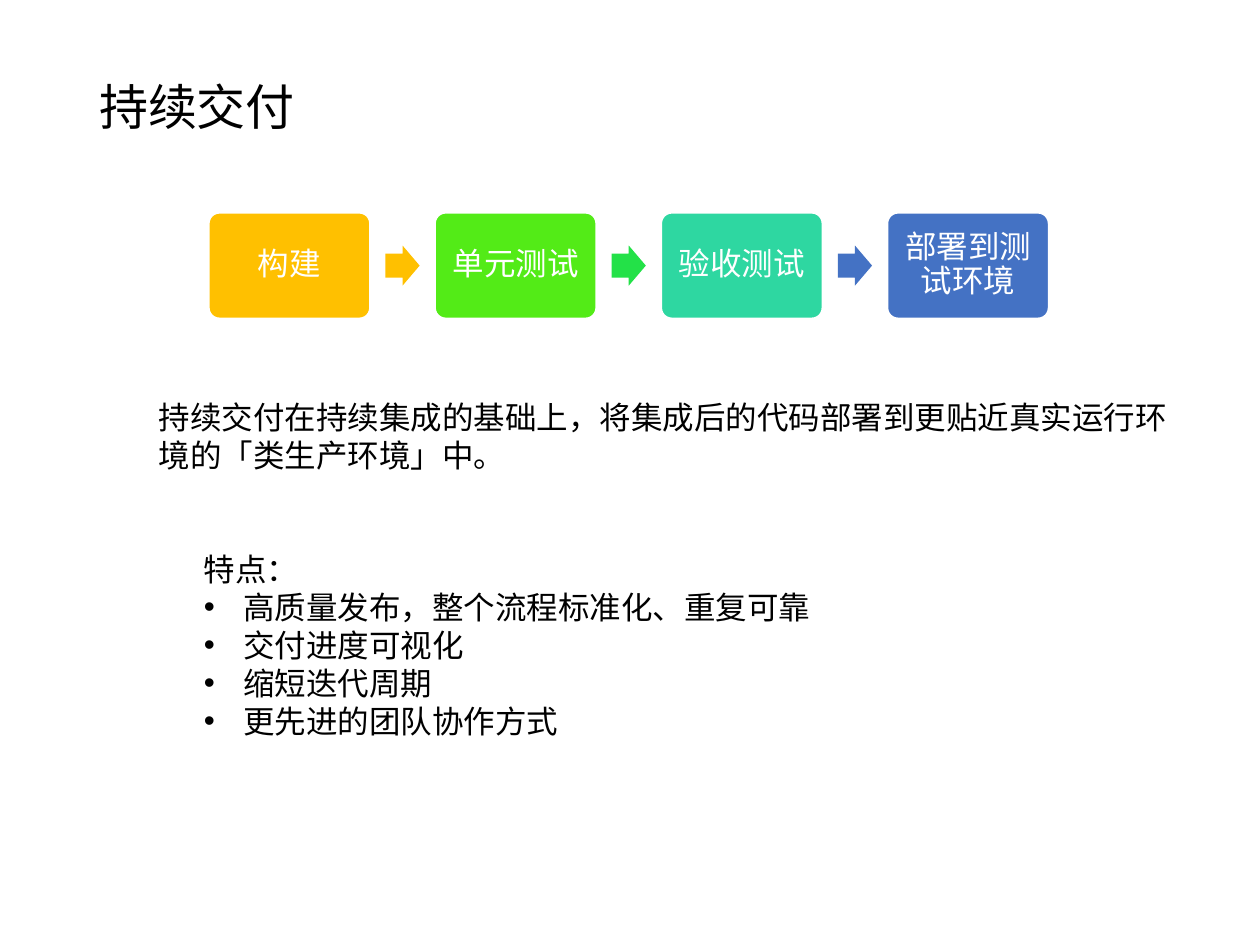
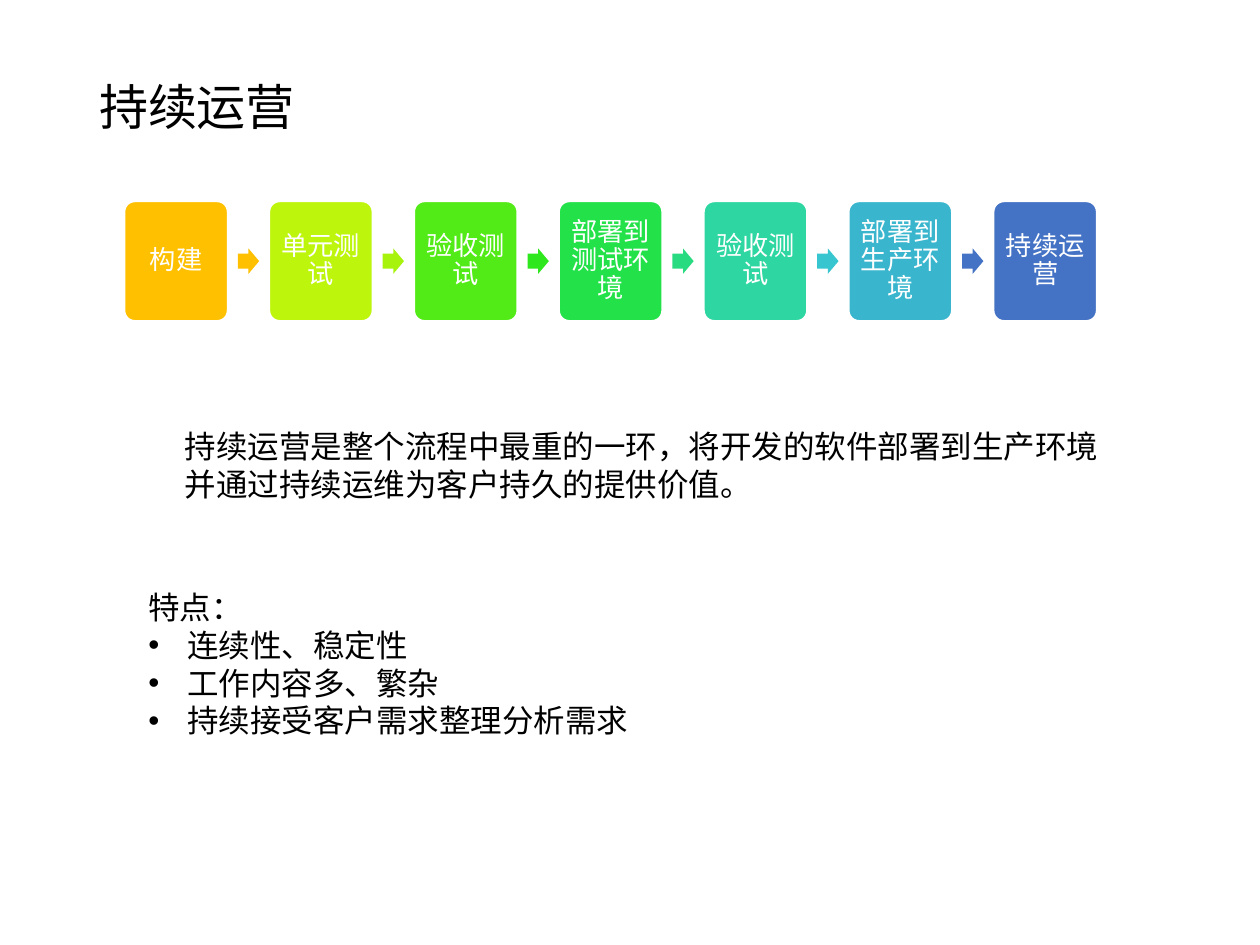
from lxml import etree
from pptx import Presentation
from pptx.dml.color import RGBColor
from pptx.enum.shapes import MSO_SHAPE as SHAPE
from pptx.enum.text import MSO_ANCHOR as ANCHOR, PP_ALIGN as ALIGN
from pptx.oxml.ns import qn
from pptx.util import Cm, Pt

BLACK = RGBColor(0x00, 0x00, 0x00)
WHITE = RGBColor(0xFF, 0xFF, 0xFF)
AMBER = RGBColor(0xFF, 0xC0, 0x00)
YELLOW_GREEN = RGBColor(0xBE, 0xF5, 0x0C)
LIME = RGBColor(0xA7, 0xF3, 0x0E)
LEAF = RGBColor(0x53, 0xEB, 0x17)
BRIGHT_GREEN = RGBColor(0x2E, 0xE7, 0x1C)
GREEN = RGBColor(0x23, 0xE1, 0x48)
MINT = RGBColor(0x29, 0xDB, 0x80)
TEAL = RGBColor(0x2E, 0xD7, 0xA1)
CYAN = RGBColor(0x37, 0xC6, 0xCF)
SKY = RGBColor(0x39, 0xB6, 0xCE)
BLUE = RGBColor(0x44, 0x72, 0xC4)

HEADING_FONT = "Noto Sans CJK SC"
BODY_FONT = "Calibri"
INDENT = Cm(0.79)

# Lengths are in centimetres; boxes are left, top, width, height.
SLIDES = [
    {
        "title": "持续交付",
        "steps": [("构建", AMBER), ("单元测试", LEAF), ("验收测试", TEAL),
                  ("部署到测试环境", BLUE)],
        "arrows": [AMBER, GREEN, BLUE],
        "flow": (4.21, 4.29, 3.25, 2.13), "pitch": 4.56,
        "arrow_size": (0.69, 0.81), "inset": 0.18, "step_size": 18,
        "summary": ["持续交付在持续集成的基础上，将集成后的代码部署到更贴近真实运行环境的「类生产环境」中。"],
        "summary_box": (2.95, 7.9, 21.21, 1.8), "summary_font": "Roboto",
        "features": ["高质量发布，整个流程标准化、重复可靠", "交付进度可视化",
                     "缩短迭代周期", "更先进的团队协作方式"],
        "features_box": (3.86, 10.97, 12.85, 5.64),
        "last_font": HEADING_FONT,
    },
    {
        "title": "持续运营",
        "steps": [("构建", AMBER), ("单元测试", YELLOW_GREEN), ("验收测试", LEAF),
                  ("部署到测试环境", GREEN), ("验收测试", TEAL),
                  ("部署到生产环境", SKY), ("持续运营", BLUE)],
        "arrows": [AMBER, LIME, BRIGHT_GREEN, MINT, CYAN, BLUE],
        "flow": (2.51, 4.06, 2.08, 2.41), "pitch": 2.92,
        "arrow_size": (0.43, 0.51), "inset": 0.15, "step_size": 15,
        "summary": ["持续运营是整个流程中最重的一环，将开发的软件部署到生产环境",
                    "并通过持续运维为客户持久的提供价值。"],
        "summary_box": (3.48, 8.48, 19.1, 1.8), "summary_font": BODY_FONT,
        "features": ["连续性、稳定性", "工作内容多、繁杂", "持续接受客户需求整理分析需求"],
        "features_box": (2.74, 11.73, 10.29, 4.88),
        "last_font": BODY_FONT,
    },
]


def add_text(s, box, lines, font, size=18):
    tf = s.shapes.add_textbox(*map(Cm, box)).text_frame
    tf.word_wrap = True
    tf.text = "\n".join(lines)
    for p in tf.paragraphs:
        p.font.name, p.font.size = font, Pt(size)
        p.font.color.rgb = BLACK
    return tf


def add_block(s, shape, box, color, *adjustments):
    """Add a flat filled shape without an outline."""
    sp = s.shapes.add_shape(shape, *map(Cm, box))
    sp.shadow.inherit = False
    sp.fill.solid()
    sp.fill.fore_color.rgb = color
    sp.line.fill.background()
    for i, value in enumerate(adjustments):
        sp.adjustments[i] = value
    return sp


prs = Presentation()
prs.slide_width, prs.slide_height = Cm(25.4), Cm(19.05)

for content in SLIDES:
    s = prs.slides.add_slide(prs.slide_layouts[6])

    tf = add_text(s, (1.75, 1.02, 21.9, 2.39), [content["title"]], HEADING_FONT, 28)
    tf.vertical_anchor = ANCHOR.MIDDLE
    tf.paragraphs[0].line_spacing = 0.9

    left, top, width, height = content["flow"]
    pitch = content["pitch"]
    for i, (label, color) in enumerate(content["steps"]):
        sp = add_block(s, SHAPE.ROUNDED_RECTANGLE,
                       (left + i * pitch, top, width, height), color, 0.1)
        sp.line.color.rgb = WHITE
        sp.line.width = Pt(1)
        tf = sp.text_frame
        tf.word_wrap = True
        tf.vertical_anchor = ANCHOR.MIDDLE
        tf.margin_left = tf.margin_right = Cm(content["inset"])
        tf.margin_top = tf.margin_bottom = Cm(content["inset"])
        p = tf.paragraphs[0]
        p.text = label
        p.alignment, p.line_spacing = ALIGN.CENTER, 0.9
        p.font.name, p.font.size = BODY_FONT, Pt(content["step_size"])
        p.font.color.rgb = WHITE

    # Each arrow is centred in the gap after its step.
    arrow_w, arrow_h = content["arrow_size"]
    arrow_left = left + (width + pitch - arrow_w) / 2
    arrow_top = top + (height - arrow_h) / 2
    for i, color in enumerate(content["arrows"]):
        add_block(s, SHAPE.RIGHT_ARROW,
                  (arrow_left + i * pitch, arrow_top, arrow_w, arrow_h), color, 0.6, 0.5)

    add_text(s, content["summary_box"], content["summary"], content["summary_font"])

    tf = add_text(s, content["features_box"], ["特点：", *content["features"]], BODY_FONT)
    for p in tf.paragraphs[1:]:
        pPr = p._p.get_or_add_pPr()
        pPr.set("marL", str(INDENT))
        pPr.set("indent", str(-INDENT))
        font = etree.Element(qn("a:buFont"), typeface="Arial")
        bullet = etree.Element(qn("a:buChar"), char="•")
        pPr.insert(0, font)
        pPr.insert(1, bullet)
    tf.paragraphs[-1].font.name = content["last_font"]

prs.save("out.pptx")
